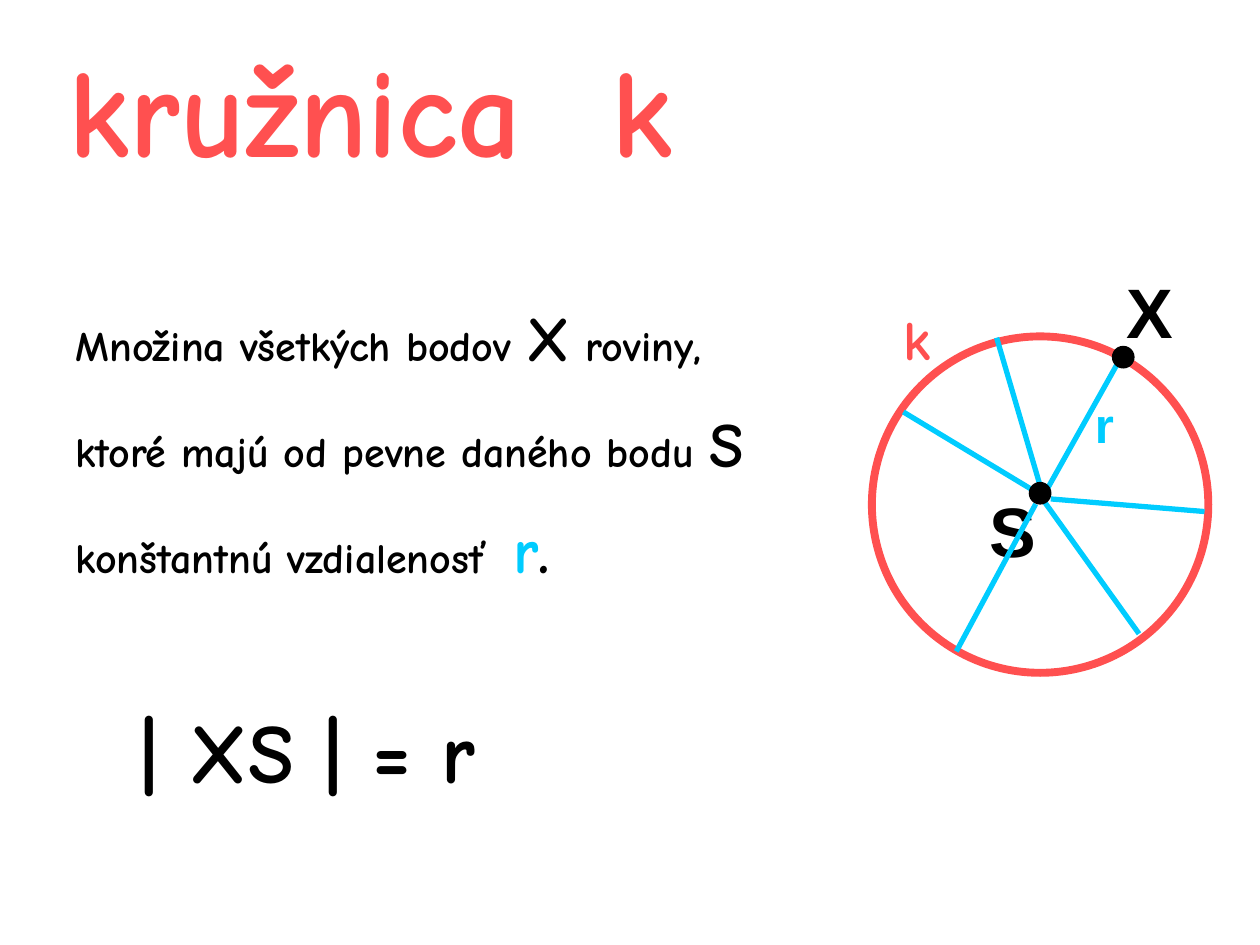
"""Build a slide that defines the circle as a set of points."""
import lxml.etree
import pptx
import pptx.dml.color
import pptx.enum.shapes
import pptx.enum.text
import pptx.oxml.ns
import pptx.util

Inches = pptx.util.Inches
SHAPE = pptx.enum.shapes.MSO_SHAPE
ALIGN = pptx.enum.text.PP_ALIGN
ANCHOR = pptx.enum.text.MSO_ANCHOR
AUTO = pptx.enum.text.MSO_AUTO_SIZE

COLORS = {"circle": "FF5050", "radius": "00CCFF", "ink": "000000", "paper": "FFFFFF"}
HAND = "Comic Neue"
PLAIN = "Arial"


def color(name):
    """Return the named colour."""
    return pptx.dml.color.RGBColor.from_string(COLORS[name])


def apply(obj, values):
    """Set each attribute of an object from a dict."""
    for name, value in values.items():
        setattr(obj, name, value)


def add_run(p, text, size, tint="ink", font=HAND):
    """Append a bold run to a paragraph."""
    r = p.add_run()
    r.text = text
    apply(r.font, {"name": font, "size": pptx.util.Pt(size), "bold": True})
    r.font.color.rgb = color(tint)


def add_text(s, box, lines, wrap=False, align=ALIGN.LEFT, spacing=1.0):
    """Place a text box whose lines are lists of runs."""
    tf = s.shapes.add_textbox(*map(Inches, box)).text_frame
    apply(tf, {"word_wrap": wrap, "auto_size": AUTO.SHAPE_TO_FIT_TEXT})
    for i, runs in enumerate(lines):
        p = tf.add_paragraph() if i else tf.paragraphs[0]
        apply(p, {"alignment": align, "line_spacing": spacing})
        for run in runs:
            add_run(p, *run)


def add_round(s, kind, box, fill, line, width):
    """Place a filled and outlined round shape."""
    sp = s.shapes.add_shape(kind, *map(Inches, box))
    sp.shadow.inherit = False
    sp.fill.solid()
    sp.fill.fore_color.rgb = color(fill)
    sp.line.color.rgb = color(line)
    sp.line.width = pptx.util.Pt(width)


def add_radius(s, start, end):
    """Draw one radius of the circle."""
    ends = map(Inches, (*start, *end))
    cxn = s.shapes.add_connector(pptx.enum.shapes.MSO_CONNECTOR.STRAIGHT, *ends)
    cxn.line.color.rgb = color("radius")
    cxn.line.width = pptx.util.Pt(3)
    lxml.etree.SubElement(cxn._element.spPr, pptx.oxml.ns.qn("a:effectLst"))


def build_title(s, box):
    """Move and format the title placeholder."""
    sp = s.shapes.title
    apply(sp, dict(zip(("left", "top", "width", "height"), map(Inches, box))))
    tf = sp.text_frame
    apply(tf, {"word_wrap": True, "auto_size": AUTO.NONE,
               "vertical_anchor": ANCHOR.BOTTOM})
    p = tf.paragraphs[0]
    p.alignment = ALIGN.LEFT
    add_run(p, "kružnica  k", 72, "circle")


def build_definition(s, box):
    """Place the definition and the formula below it."""
    x, y, w, h = box
    add_text(s, (x, y, w, 3.18), [
        [("Množina všetkých bodov ", 24), ("X", 36), (" roviny,", 24)],
        [("ktoré majú od pevne daného bodu ", 24), ("S", 36)],
        [("konštantnú vzdialenosť  ", 24), ("r", 36, "radius"), (".", 36)],
    ], wrap=True, spacing=1.4)
    add_text(s, (x + 0.52, y + h - 0.9, 3, 0.9), [[("| XS | = r", 48)]], wrap=True)


def build_circle(s, box):
    """Draw the circle with its radii, points and labels."""
    x, y, w, h = box
    add_round(s, SHAPE.OVAL, box, "paper", "circle", 4.5)
    labels = [
        ("k", 0.15, -0.3, 0.41, 0.64, 32, "circle", HAND, ALIGN.LEFT),
        ("S", 0.83, 1.15, 0.57, 0.77, 40, "ink", PLAIN, ALIGN.CENTER),
        ("X", 1.92, -0.59, 0.57, 0.77, 40, "ink", PLAIN, ALIGN.CENTER),
        ("r", 1.67, 0.41, 0.35, 0.57, 28, "radius", PLAIN, ALIGN.LEFT),
    ]
    for text, dx, dy, lw, lh, size, tint, font, align in labels:
        add_text(s, (x + dx, y + dy, lw, lh), [[(text, size, tint, font)]], align=align)
    radii = [
        (1.37, 1.25, 1.98, 0.16), (1.36, 1.27, 0.99, 0.01), (1.31, 1.24, 0.25, 0.6),
        (1.3, 1.33, 0.67, 2.5), (1.36, 1.3, 2.12, 2.36), (1.42, 1.29, 2.64, 1.39),
    ]
    for x1, y1, x2, y2 in radii:
        add_radius(s, (x + x1, y + y1), (x + x2, y + y2))
    for dx, dy in ((1.91, 0.08), (1.25, 1.16)):
        add_round(s, SHAPE.FLOWCHART_CONNECTOR, (x + dx, y + dy, 0.17, 0.17),
                  "ink", "ink", 0.75)


def main():
    """Build and save the presentation."""
    prs = pptx.Presentation()
    apply(prs, {"slide_width": Inches(10), "slide_height": Inches(7.5)})
    s = prs.slides.add_slide(prs.slide_layouts[5])
    s.background.fill.solid()
    s.background.fill.fore_color.rgb = color("paper")
    build_title(s, (0.44, 0.17, 8.5, 1.33))
    build_definition(s, (0.5, 2.08, 6.33, 4.32))
    build_circle(s, (6.92, 2.67, 2.67, 2.67))
    prs.save("out.pptx")


if __name__ == "__main__":
    main()
